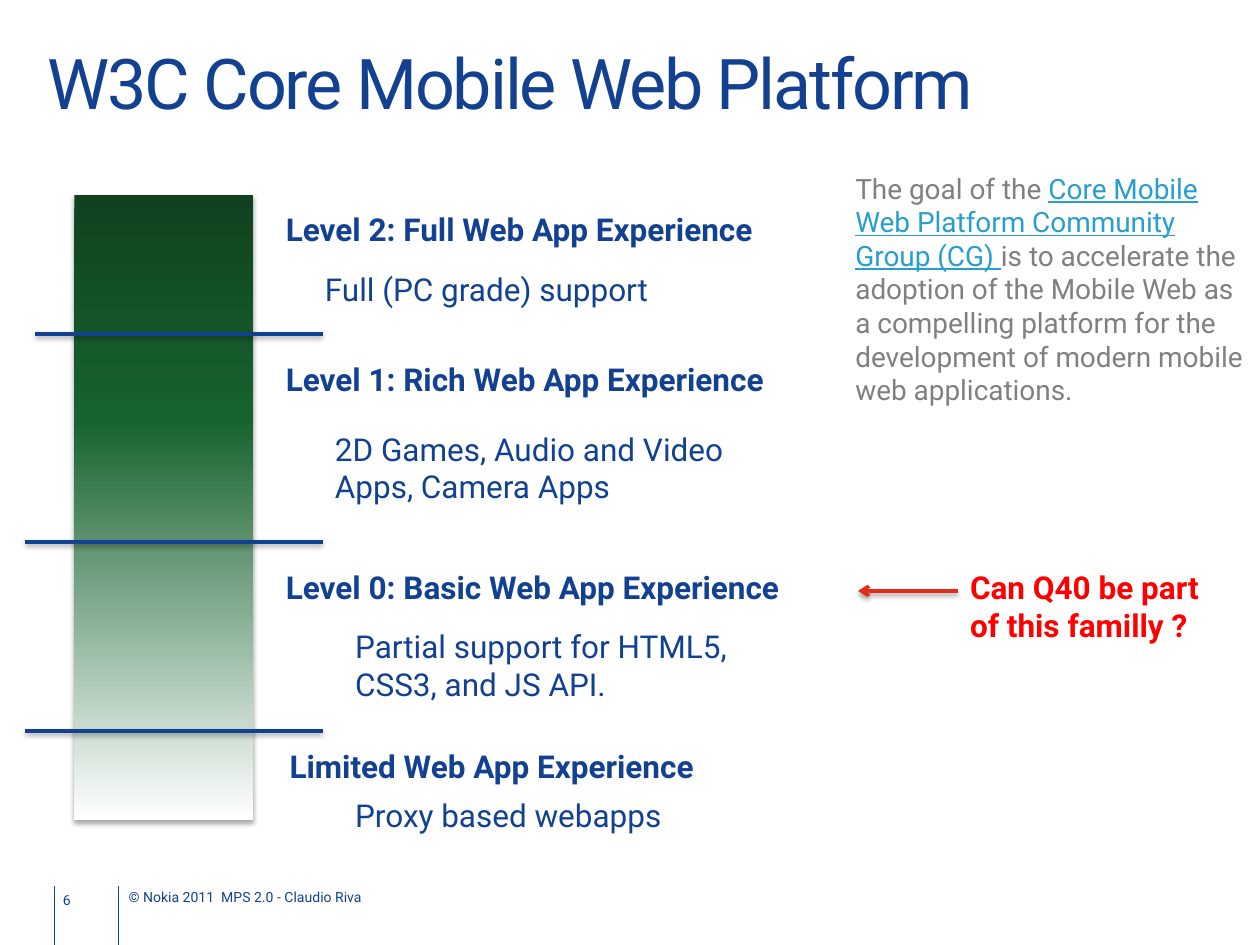
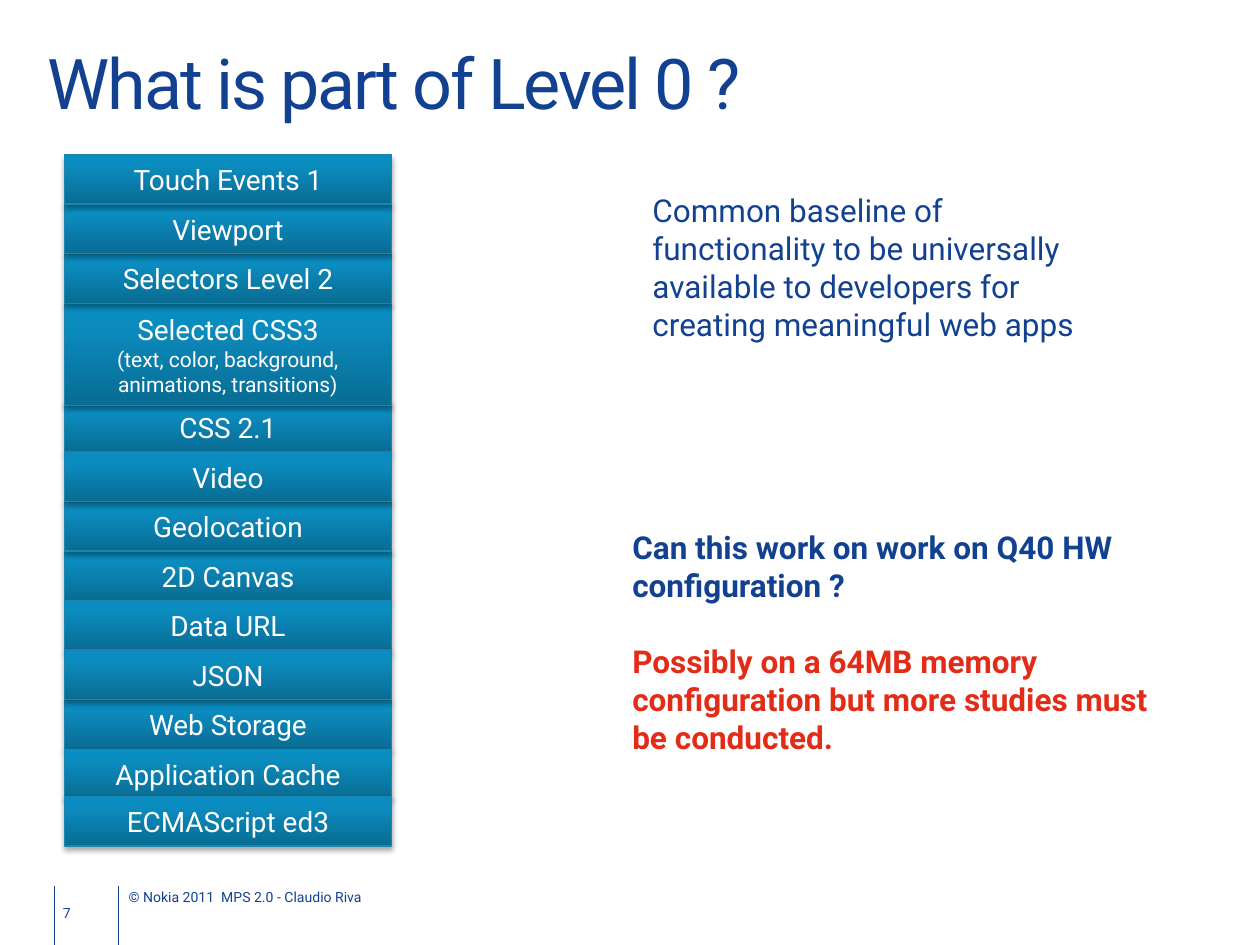
from lxml import etree
from pptx import Presentation
from pptx.dml.color import RGBColor
from pptx.enum.shapes import MSO_CONNECTOR, MSO_SHAPE
from pptx.enum.text import MSO_ANCHOR, MSO_AUTO_SIZE, PP_ALIGN
from pptx.oxml.ns import qn
from pptx.util import Inches, Pt

LINE, RECT = MSO_CONNECTOR.STRAIGHT, MSO_SHAPE.RECTANGLE
TOP, MIDDLE = MSO_ANCHOR.TOP, MSO_ANCHOR.MIDDLE
LEFT, CENTER = PP_ALIGN.LEFT, PP_ALIGN.CENTER
NO_FIT = MSO_AUTO_SIZE.NONE
FONT = "Roboto"
HEX = {
    "navy": "124191", "gray": "808080", "link": "279FCE", "red": "FF0000",
    "brick": "E32C18", "white": "FFFFFF", "edge": "1D86B0",
}
COLOR = {name: RGBColor.from_string(code) for name, code in HEX.items()}
GREENS = [(0, "10421F"), (36, "17632F"), (100, "FFFFFF")]
BLUES = [(0, "096C93"), (80, "0B8CBF"), (100, "088EC4")]


def label(slide, box, text, size=18, color="navy", bold=False, wrap=True):
    """Add a text box and return its text frame."""
    frame = slide.shapes.add_textbox(*map(Inches, box)).text_frame
    frame.word_wrap = wrap
    para = frame.paragraphs[0]
    para.text = text
    para.font.name, para.font.size = FONT, Pt(size)
    para.font.bold, para.font.color.rgb = bold, COLOR[color]
    return frame


def finish(shape, alpha, dist, stops=(), angle=0):
    """Give a shape its gradient stops, if any, and a soft shadow below."""
    if stops:
        shape.fill.gradient()
        shape.fill.gradient_angle = angle
        ramp = next(shape.element.spPr.iter(qn("a:gsLst")))
        ramp[:] = []
        for spot, code in stops:
            stop = etree.SubElement(ramp, qn("a:gs"), pos=str(spot * 1000))
            etree.SubElement(stop, qn("a:srgbClr"), val=code)
    effects = etree.SubElement(shape.element.spPr, qn("a:effectLst"))
    shadow = etree.SubElement(
        effects, qn("a:outerShdw"), blurRad=str(Pt(3.1)), dist=str(Pt(dist)),
        dir="5400000", rotWithShape="0")
    black = etree.SubElement(shadow, qn("a:srgbClr"), val="000000")
    etree.SubElement(black, qn("a:alpha"), val=str(alpha * 1000))


prs = Presentation()
prs.slide_width, prs.slide_height = Inches(10), Inches(7.5)

# Title and footer of every slide
pages = [
    ("W3C Core Mobile Web Platform", "6", (0.5, 7.08, 0.33, 0.13)),
    ("What is part of Level 0 ?", "7", (0.5, 7.05, 0.33, 0.39)),
]
for heading, number, spot in pages:
    slide = prs.slides.add_slide(prs.slide_layouts[5])
    for x in (0.43, 0.94):
        rule = slide.shapes.add_connector(
            LINE, Inches(x), Inches(7.5), Inches(x), Inches(7.03))
        rule.line.color.rgb, rule.line.width = COLOR["navy"], Pt(0.75)
        etree.SubElement(rule.element.spPr, qn("a:effectLst"))

    title = slide.shapes.title
    title.left, title.top = Inches(0.38), Inches(0.31)
    title.width, title.height = Inches(9.17), Inches(0.67)
    frame = title.text_frame
    frame.text = heading
    frame.auto_size, frame.vertical_anchor = NO_FIT, TOP
    para = frame.paragraphs[0]
    para.alignment = LEFT
    para.font.name, para.font.size = FONT, Pt(40)
    para.font.color.rgb = COLOR["navy"]
    para.runs[0]._r.get_or_add_rPr().set("spc", "-120")

    notice = "© Nokia 2011  MPS 2.0 - Claudio Riva"
    foot = [label(slide, spot, number, 8),
            label(slide, (1.02, 7.05, 7.19, 0.13), notice, 8)]
    for frame in [title.text_frame] + foot:
        frame.margin_left = frame.margin_right = 0
        frame.margin_top = frame.margin_bottom = 0
    for frame in foot:
        frame.vertical_anchor = MIDDLE

levels, basics = prs.slides

# Levels of web app experience
bar = levels.shapes.add_shape(
    RECT, Inches(0.59), Inches(1.55), Inches(1.42), Inches(4.96))
bar.line.fill.background()
finish(bar, 35, 1.8, GREENS, 270)

for x1, x2, y, color in [(0.2, 2.56, 4.3, "navy"), (0.28, 2.56, 2.65, "navy"),
                         (0.2, 2.56, 5.8, "navy"), (7.6, 6.81, 4.69, "brick")]:
    mark = levels.shapes.add_connector(
        LINE, Inches(x1), Inches(y), Inches(x2), Inches(y))
    mark.line.color.rgb, mark.line.width = COLOR[color], Pt(2)
    if color == "brick":
        etree.SubElement(mark.line._get_or_add_ln(), qn("a:tailEnd"), type="arrow")
    finish(mark, 38, 1.6)

for box, text in [
    ((2.17, 1.62, 4.23, 0.4), "Level 2: Full Web App Experience"),
    ((2.17, 2.81, 4.33, 0.4), "Level 1: Rich Web App Experience"),
    ((2.17, 4.46, 4.45, 0.4), "Level 0: Basic Web App Experience"),
    ((2.2, 5.88, 3.67, 0.4), "Limited Web App Experience"),
]:
    label(levels, box, text, bold=True, wrap=False)

label(levels, (2.48, 2.09, 2.83, 0.4), "Full (PC grade) support", wrap=False)
for box, text in [
    ((2.56, 3.36, 3.94, 0.71), "2D Games, Audio and Video Apps, Camera Apps"),
    ((2.72, 4.93, 3.62, 0.71), "Partial support for HTML5, CSS3, and JS API."),
    ((2.72, 6.27, 3.62, 0.4), "Proxy based webapps"),
]:
    label(levels, box, text)
label(levels, (7.6, 4.46, 2.28, 0.71), "Can Q40 be part of this familly ?",
      color="red", bold=True)

goal = label(levels, (6.69, 1.31, 3.31, 2.26), "The goal of the ", 16, "gray")
para = goal.paragraphs[0]
group = para.add_run()
group.text = "Core Mobile Web Platform Community Group (CG) "
group.font.color.rgb, group.font.underline = COLOR["link"], True
para.add_run().text = (
    "is to accelerate the adoption of the Mobile Web as a compelling platform "
    "for the development of modern mobile web applications.")

# Stack of level 0 features: slot from the top, in drawing order
pitch = 4.72 / 12
stack = [
    (11, "Web Storage"), (12, "Application Cache"), (5, "CSS 2.1"),
    (8, "2D Canvas"), (3, "Selected CSS3"), (9, "Data URL"),
    (7, "Geolocation"), (10, "JSON"), (2, "Selectors Level 2"), (6, "Video"),
    (1, "Viewport"), (12.95, "ECMAScript ed3"), (0, "Touch Events 1"),
]
details = {"Selected CSS3": "(text, color, background, animations, transitions)"}
for slot, name in stack:
    lines = [(name, 16)]
    if name in details:
        lines.append((details[name], 12))
    tile = basics.shapes.add_shape(
        RECT, Inches(0.51), Inches(1.23 + slot * pitch),
        Inches(2.6), Inches(0.81 if name in details else 0.39))
    tile.line.color.rgb, tile.line.width = COLOR["edge"], Pt(0.75)
    finish(tile, 35, 1.8, BLUES, 90)
    frame = tile.text_frame
    frame.word_wrap, frame.vertical_anchor = True, MIDDLE
    frame.text = "\n".join(text for text, size in lines)
    for para, (text, size) in zip(frame.paragraphs, lines):
        para.alignment = CENTER
        para.font.name, para.font.size = FONT, Pt(size)
        para.font.color.rgb = COLOR["white"]

label(basics, (5.08, 1.47, 3.7, 1.31),
      "Common baseline of functionality to be universally available to "
      "developers for creating meaningful web apps")
query = label(basics, (4.92, 4.14, 4.33, 1.92),
              "Can this work on work on Q40 HW configuration ?", bold=True)
reply = query.add_paragraph()
reply.text = ("Possibly on a 64MB memory configuration but more studies "
              "must be conducted.")
reply.space_before = Pt(22)
reply.font.name, reply.font.size = FONT, Pt(18)
reply.font.bold, reply.font.color.rgb = True, COLOR["brick"]

prs.save("out.pptx")
